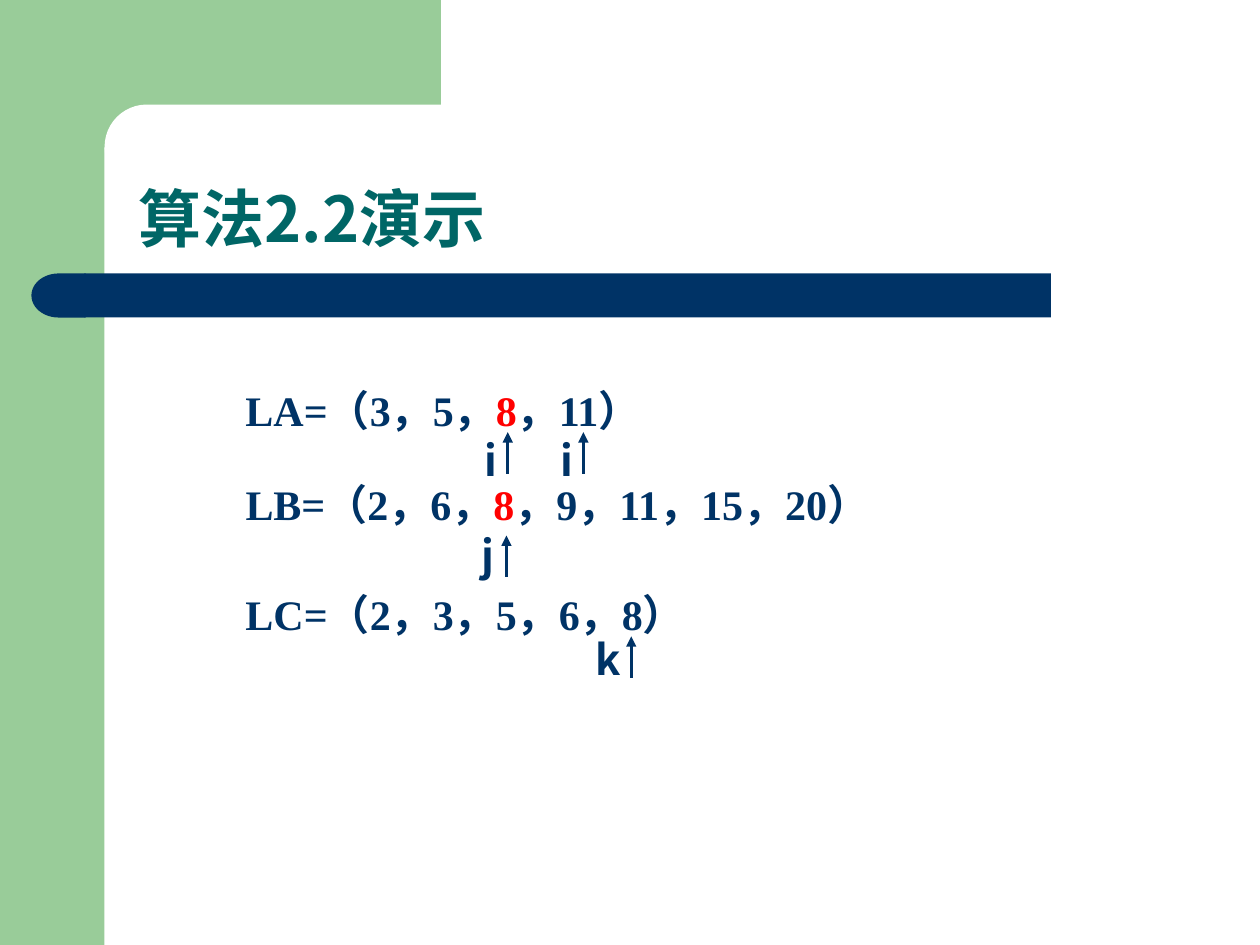
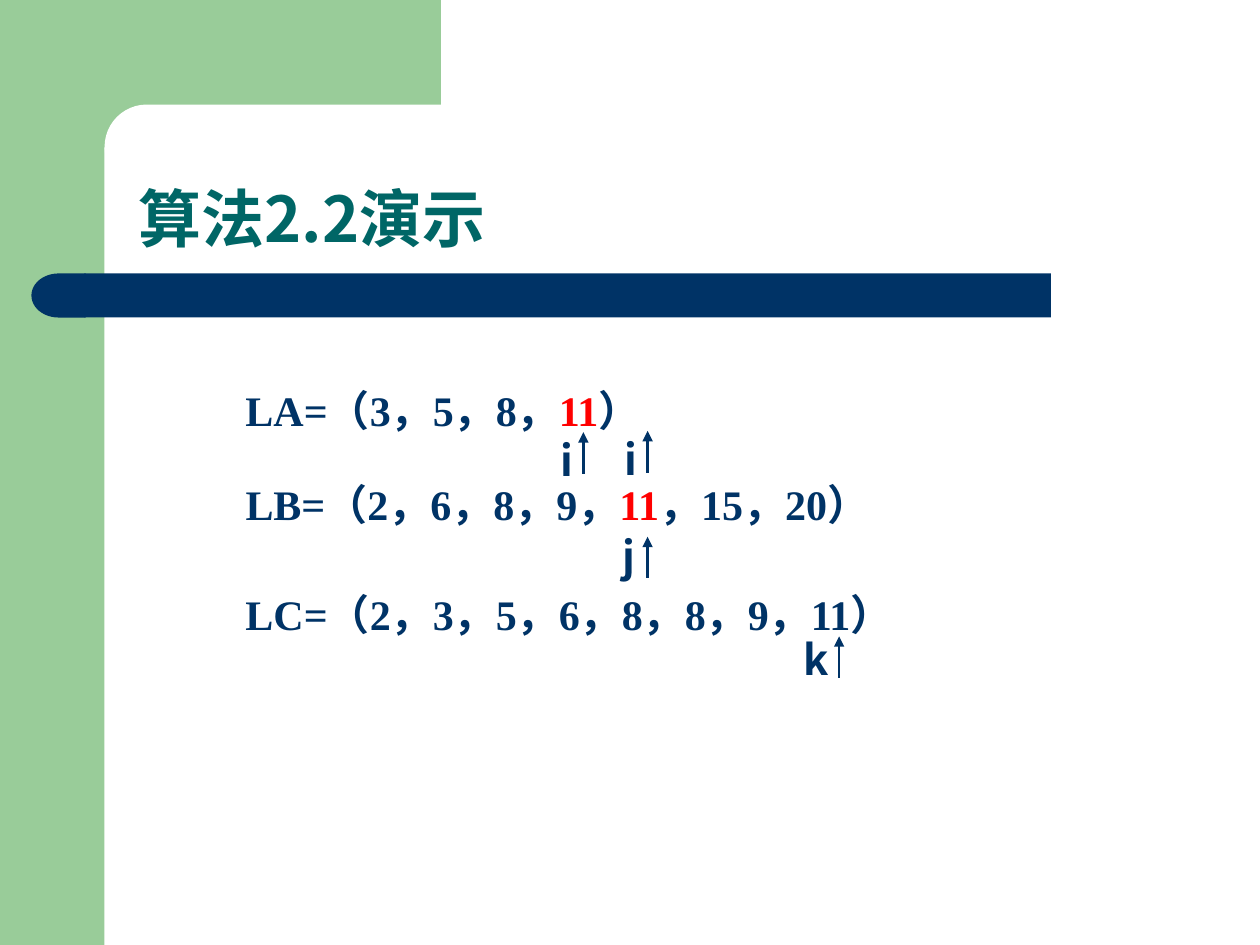
from lxml.etree import SubElement
from pptx import Presentation
from pptx.dml.color import RGBColor
from pptx.enum.shapes import MSO_CONNECTOR, MSO_SHAPE
from pptx.enum.text import MSO_ANCHOR, PP_ALIGN
from pptx.oxml.ns import qn
from pptx.util import Inches, Pt

GREEN = RGBColor(0x99, 0xCC, 0x99)
NAVY = RGBColor(0x00, 0x33, 0x66)
TEAL = RGBColor(0x00, 0x66, 0x66)
RED = RGBColor(0xFF, 0x00, 0x00)
WHITE = RGBColor(0xFF, 0xFF, 0xFF)
SANS, SERIF = "Noto Sans CJK SC", "Times New Roman"

# Content: each list is (before, highlighted, after, box width),
# each pointer is (letter, left, top) of its label
TITLE = "算法2.2演示"
STEPS = [
    {
        "lists": [
            ("LA=（3，5，", "8", "，11）", 4.67),
            ("LB=（2，6，", "8", "，9，11，15，20）", 5.21),
            ("LC=（2，3，5，6，8）", "", "", 4.67),
        ],
        "pointers": [("k", 4.63, 4.98), ("i", 3.75, 3.4),
                     ("j", 3.72, 4.15), ("i", 4.35, 3.4)],
    },
    {
        "lists": [
            ("LA=（3，5，8，", "11", "）", 4.67),
            ("LB=（2，6，8，9，", "11", "，15，20）", 5.21),
            ("LC=（2，3，5，6，8，8，9，11）", "", "", 5.83),
        ],
        "pointers": [("k", 6.28, 4.98), ("i", 4.35, 3.4),
                     ("j", 4.84, 4.16), ("i", 4.86, 3.39)],
    },
]

# Places in inches
LIST_LEFT, LIST_TOPS, LINE_HEIGHT = 1.85, (3, 3.75, 4.62), 0.5
LABEL_WIDTH = {"i": 0.28, "j": 0.28, "k": 0.35}
ARROW_OFFSET = {"i": (0.28, 0.03), "j": (0.3, 0.1), "k": (0.38, 0.07)}
ARROW_LENGTH = 0.33

# Shared background: shape, place, colour, corner rounding, mirrored
BACKGROUND = [
    (MSO_SHAPE.RECTANGLE, (0, 0, 0.83, 7.5), GREEN, None, False),
    (MSO_SHAPE.RECTANGLE, (0.75, 0, 2.75, 1.17), GREEN, None, False),
    (MSO_SHAPE.ROUNDED_RECTANGLE, (0.83, 0.83, 5.58, 0.67), WHITE, 0.5, False),
    (MSO_SHAPE.RECTANGLE, (0.67, 2.17, 7.67, 0.35), NAVY, None, False),
    (MSO_SHAPE.FLOWCHART_DELAY, (0.25, 2.17, 0.43, 0.35), NAVY, None, True),
]


def inches(place):
    return [Inches(value) for value in place]


def write(para, text, color=NAVY, size=24, font=SANS):
    span = para.add_run()
    span.text = text
    span.font.size, span.font.bold, span.font.name = Pt(size), True, font
    span.font.color.rgb = color
    SubElement(span.font._element, qn("a:ea"), typeface=SANS)


def add_box(page, place, wrap):
    box = page.shapes.add_textbox(*inches(place))
    box.text_frame.word_wrap = wrap
    return box.text_frame.paragraphs[0]


def add_background(page, layout):
    """Draw the bands and move them into the layout, behind its title."""
    for holder in list(layout.placeholders):
        if holder.placeholder_format.idx != 0:
            holder.element.getparent().remove(holder.element)
    for order, (kind, place, color, rounding, mirrored) in enumerate(BACKGROUND):
        band = page.shapes.add_shape(kind, *inches(place))
        band.shadow.inherit = False
        band.fill.solid()
        band.fill.fore_color.rgb = color
        band.line.fill.background()
        if rounding is not None:
            band.adjustments[0] = rounding
        if mirrored:
            band.element.spPr.find(qn("a:xfrm")).set("flipH", "1")
        layout.shapes.element.insert(2 + order, band.element)


def add_title(page):
    title = page.shapes.title
    title.left, title.top, title.width, title.height = inches((1, 0.83, 8.75, 1.25))
    title.text_frame.vertical_anchor = MSO_ANCHOR.BOTTOM
    para = title.text_frame.paragraphs[0]
    para.alignment, para.line_spacing = PP_ALIGN.LEFT, 0.9
    write(para, TITLE, color=TEAL, size=36)


def add_list(page, top, before, marked, after, width):
    para = add_box(page, (LIST_LEFT, top, width, LINE_HEIGHT), wrap=True)
    for text, color in ((before, NAVY), (marked, RED), (after, NAVY)):
        if text:
            write(para, text, color=color, font=SERIF)


def add_pointer(page, letter, left, top):
    shift, drop = ARROW_OFFSET[letter]
    x, y = left + shift, top + drop
    arrow = page.shapes.add_connector(
        MSO_CONNECTOR.STRAIGHT, *inches((x, y, x, y + ARROW_LENGTH)))
    arrow.line.color.rgb, arrow.line.width = NAVY, Pt(1.5)
    SubElement(arrow.line._get_or_add_ln(), qn("a:headEnd"), type="triangle")
    SubElement(arrow.element.spPr, qn("a:effectLst"))
    para = add_box(page, (left, top, LABEL_WIDTH[letter], LINE_HEIGHT), wrap=False)
    write(para, letter)


def main():
    deck = Presentation()
    deck.slide_width, deck.slide_height = Inches(10), Inches(7.5)
    layout = deck.slide_layouts.get_by_name("Title Only")
    for number, step in enumerate(STEPS):
        page = deck.slides.add_slide(layout)
        if number == 0:
            add_background(page, layout)
        add_title(page)
        for top, parts in zip(LIST_TOPS, step["lists"]):
            add_list(page, top, *parts)
        for pointer in step["pointers"]:
            add_pointer(page, *pointer)
    deck.save("out.pptx")


if __name__ == "__main__":
    main()
